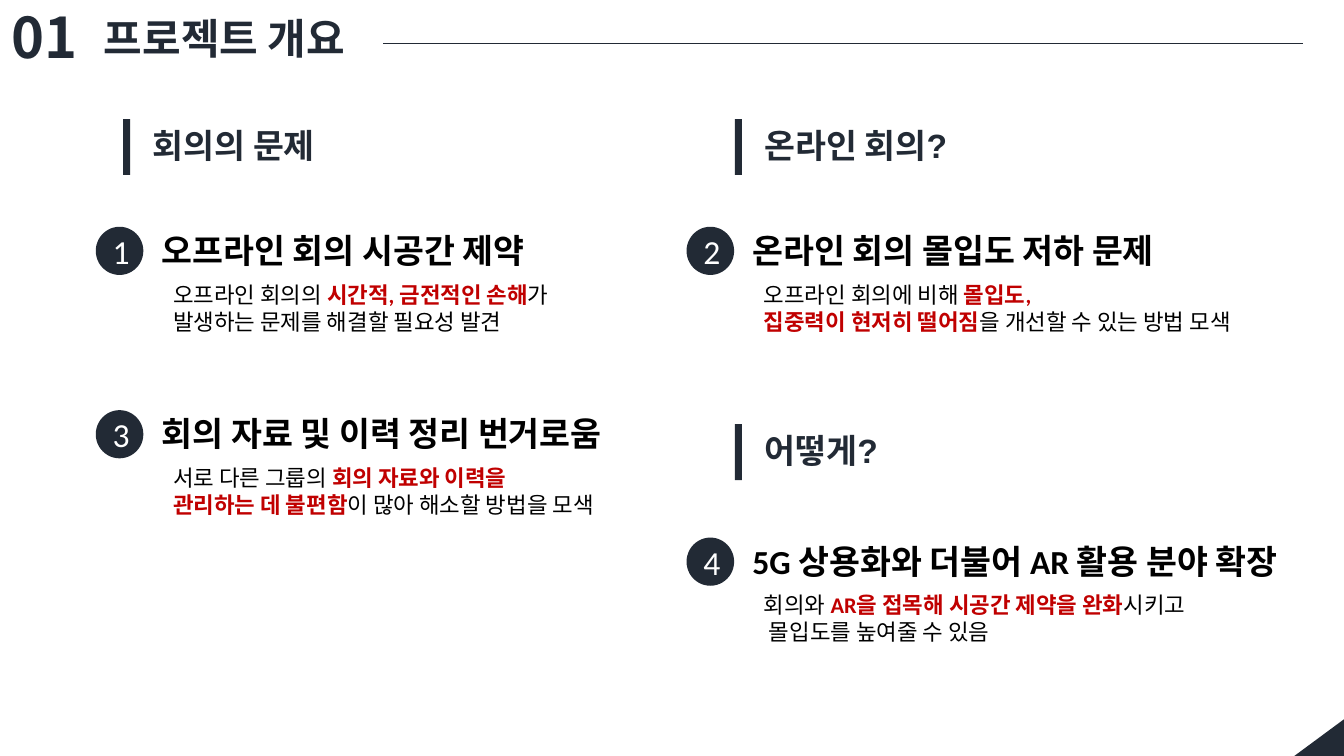
import pptx
import pptx.util
import pptx.dml.color
import pptx.enum.shapes
import pptx.enum.text
import pptx.oxml

Pt = pptx.util.Pt
SHAPE = pptx.enum.shapes.MSO_SHAPE
ALIGN = pptx.enum.text.PP_ALIGN
ANCHOR = pptx.enum.text.MSO_ANCHOR
AUTO_SIZE = pptx.enum.text.MSO_AUTO_SIZE

NAVY, BLACK, WHITE, RED = "222A35", "000000", "FFFFFF", "C00000"

# (left, top, text)
HEADINGS = [
    (88, 85, "회의의 문제"),
    (525, 85, "온라인 회의?"),
    (525, 303, "어떻게?"),
]

# (left, top, title, lines); each line is a list of (text, emphasised)
ITEMS = [
    (68.4, 162, "오프라인 회의 시공간 제약", [
        [("오프라인 회의의 ", False), ("시간적, 금전적인 손해", True), ("가", False)],
        [("발생하는 문제를 해결할 필요성 발견", False)]]),
    (490.4, 162, "온라인 회의 몰입도 저하 문제", [
        [("오프라인 회의에 비해 ", False), ("몰입도,", True)],
        [("집중력이 현저히 떨어짐", True), ("을 개선할 수 있는 방법 모색", False)]]),
    (68.4, 293, "회의 자료 및 이력 정리 번거로움", [
        [("서로 다른 그룹의 ", False), ("회의 자료와 이력을", True)],
        [("관리하는 데 불편함", True), ("이 많아 해소할 방법을 모색", False)]]),
    (490.4, 384, "5G 상용화와 더불어 AR 활용 분야 확장", [
        [("회의와 ", False), ("AR을 접목해 시공간 제약을 완화", True), ("시키고", False)],
        [(" 몰입도를 높여줄 수 있음", False)]]),
]
ITEM_WIDTHS = [(297, 312), (333, 379), (356, 343), (418, 343)]


def rgb(color):
    return pptx.dml.color.RGBColor.from_string(color)


def add_run(p, text, size, font, color, bold=False):
    r = p.add_run()
    r.text = text
    r.font.size = Pt(size)
    r.font.name = font
    r.font.bold = bold
    r.font.color.rgb = rgb(color)


def add_filled(s, kind, x, y, w, h):
    sp = s.shapes.add_shape(kind, Pt(x), Pt(y), Pt(w), Pt(h))
    sp.shadow.inherit = False
    sp.fill.solid()
    sp.fill.fore_color.rgb = rgb(NAVY)
    sp.line.fill.background()
    return sp


def add_text_frame(s, x, y, w, h, wrap):
    tf = s.shapes.add_textbox(Pt(x), Pt(y), Pt(w), Pt(h)).text_frame
    tf.word_wrap = wrap
    tf.auto_size = AUTO_SIZE.SHAPE_TO_FIT_TEXT
    return tf


def add_header(s, number, title):
    tf = add_text_frame(s, 1.4, -2, 91.4, 55.4, True)
    add_run(tf.paragraphs[0], number, 40, "Noto Sans CJK KR", NAVY, True)

    sp = s.shapes.title
    sp.left, sp.top, sp.width, sp.height = Pt(67), Pt(5), Pt(206.6), Pt(44)
    tf = sp.text_frame
    tf.word_wrap = False
    tf.auto_size = AUTO_SIZE.SHAPE_TO_FIT_TEXT
    tf.vertical_anchor = ANCHOR.TOP
    p = tf.paragraphs[0]
    p.alignment = ALIGN.LEFT
    add_run(p, title, 30, "Arial", NAVY, True)

    rule = s.shapes.add_connector(
        pptx.enum.shapes.MSO_CONNECTOR.STRAIGHT, Pt(273.6), Pt(31), Pt(931), Pt(31))
    rule.line.color.rgb = rgb(NAVY)
    rule.line.width = Pt(0.75)
    props = rule._element.spPr
    props.append(props.makeelement(pptx.oxml.ns.qn("a:effectLst"), {}))


def add_heading(s, x, y, text):
    add_filled(s, SHAPE.RECTANGLE, x, y, 5, 40)
    tf = add_text_frame(s, x + 14, y + 0.7, 190, 36.7, True)
    add_run(tf.paragraphs[0], text, 24, "Arial", NAVY, True)


def add_item(s, number, x, y, title, lines, widths):
    """Numbered disc with a bold title and a two-line explanation."""
    tf = add_filled(s, SHAPE.OVAL, x, y, 34, 34.4).text_frame
    tf.vertical_anchor = ANCHOR.MIDDLE
    p = tf.paragraphs[0]
    p.alignment = ALIGN.CENTER
    add_run(p, str(number), 24, "Calibri", WHITE)

    title_width, body_width = widths
    tf = add_text_frame(s, x + 40, y - 1.5, title_width, 36.7, False)
    add_run(tf.paragraphs[0], title, 24, "Calibri", BLACK, True)

    tf = add_text_frame(s, x + 48.2, y + 35, body_width, 46, False)
    for i, line in enumerate(lines):
        p = tf.add_paragraph() if i else tf.paragraphs[0]
        for text, emphasised in line:
            add_run(p, text, 16, "Calibri", RED if emphasised else BLACK, emphasised)


def add_corner(s):
    add_filled(s, SHAPE.RIGHT_TRIANGLE, 928.8, 509, 26.6, 36).rotation = 270


def main():
    prs = pptx.Presentation()
    prs.slide_width, prs.slide_height = Pt(960), Pt(540)
    s = prs.slides.add_slide(prs.slide_layouts.get_by_name("Title Only"))
    add_corner(s)
    add_header(s, "01", "프로젝트 개요")
    for x, y, text in HEADINGS:
        add_heading(s, x, y, text)
    for number, (item, widths) in enumerate(zip(ITEMS, ITEM_WIDTHS), 1):
        add_item(s, number, *item, widths)
    prs.save("out.pptx")


if __name__ == "__main__":
    main()
